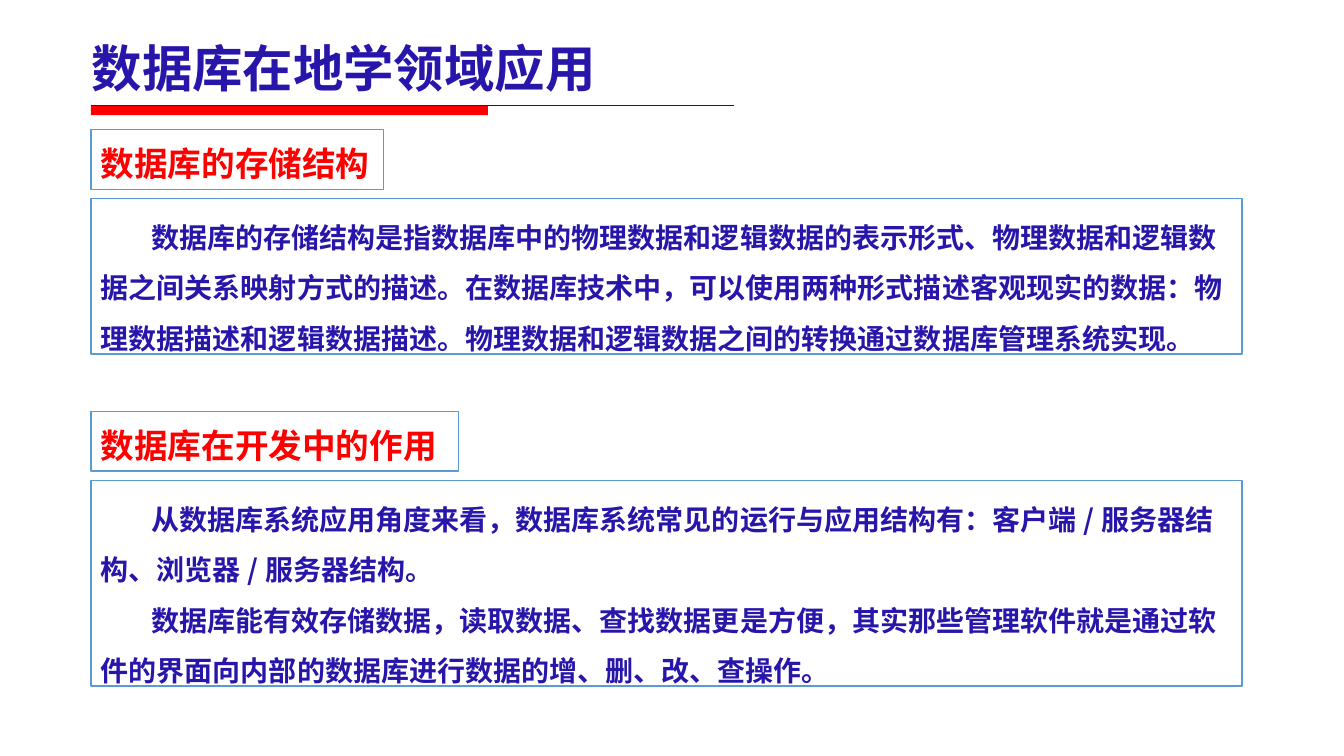
from lxml.etree import SubElement
from pptx import Presentation
from pptx.dml.color import RGBColor
from pptx.enum.shapes import MSO_CONNECTOR as Connector, MSO_SHAPE as Shape
from pptx.enum.text import MSO_ANCHOR as Anchor, MSO_AUTO_SIZE as AutoSize, PP_ALIGN as Align
from pptx.oxml.ns import qn
from pptx.util import Cm, Pt

NAVY = RGBColor(0x28, 0x16, 0xAA)
RED = RGBColor(0xFF, 0x00, 0x00)
BLUE = RGBColor(0x5B, 0x9B, 0xD5)
WHITE = RGBColor(0xFF, 0xFF, 0xFF)
DARK = RGBColor(0x20, 0x20, 0x20)

LEFT = 2.29
BODY_WIDTH = 29.01
BODY_DROP = 1.74  # from the top of a heading to the top of its body

SECTIONS = [
    # heading, heading top, heading width, body height, body paragraphs
    ("数据库的存储结构", 3.27, 7.37, 3.91, [
        "数据库的存储结构是指数据库中的物理数据和逻辑数据的表示形式、物理数据和逻辑数据之间关系映射方式的描述。"
        "在数据库技术中，可以使用两种形式描述客观现实的数据：物理数据描述和逻辑数据描述。"
        "物理数据和逻辑数据之间的转换通过数据库管理系统实现。",
    ]),
    ("数据库在开发中的作用", 10.37, 9.27, 5.18, [
        "从数据库系统应用角度来看，数据库系统常见的运行与应用结构有：客户端/服务器结构、浏览器/服务器结构。",
        "数据库能有效存储数据，读取数据、查找数据更是方便，"
        "其实那些管理软件就是通过软件的界面向内部的数据库进行数据的增、删、改、查操作。",
    ]),
]


class SlideBuilder:
    cjk_font = "Noto Sans CJK SC"
    heading_font = "Times New Roman"

    def __init__(self, page):
        self.page = page

    def set_text(self, frame, texts, size, color, font, spacing, after=0, indent=0):
        """Fill a text frame with bold, left-aligned paragraphs."""
        frame.word_wrap = True
        for number, text in enumerate(texts):
            para = frame.add_paragraph() if number else frame.paragraphs[0]
            para.text = text
            para.alignment = Align.LEFT
            para.line_spacing = spacing
            para.space_after = Pt(after)
            para.font.size = Pt(size)
            para.font.bold = True
            para.font.color.rgb = color
            para.font.name = font
            properties = para._p.get_or_add_pPr()
            properties.set("marL", "0")
            properties.set("indent", str(Cm(indent)))
            east_asian = SubElement(properties.find(qn("a:defRPr")), qn("a:ea"))
            east_asian.set("typeface", self.cjk_font)

    def title(self, text):
        box = self.page.shapes.add_textbox(Cm(2.06), Cm(0.81), Cm(17.15), Cm(1.63))
        box.text_frame.vertical_anchor = Anchor.MIDDLE
        self.set_text(box.text_frame, [text], 36, NAVY, self.cjk_font, 1.1, after=6)

    def rectangle(self, top, width, height, fill):
        box = self.page.shapes.add_shape(
            Shape.RECTANGLE, Cm(LEFT), Cm(top), Cm(width), Cm(height))
        box.shadow.inherit = False
        box.fill.solid()
        box.fill.fore_color.rgb = fill
        return box

    def framed_box(self, top, width, height):
        box = self.rectangle(top, width, height, WHITE)
        box.line.color.rgb = BLUE
        box.line.width = Pt(1)
        box.text_frame.vertical_anchor = Anchor.TOP
        return box

    def title_rule(self, top):
        """Draw the thick bar and the thin line under the title."""
        line = self.page.shapes.add_connector(
            Connector.STRAIGHT, Cm(LEFT), Cm(top), Cm(18.49), Cm(top))
        line.line.color.rgb = DARK
        line.line.width = Pt(0.75)
        SubElement(line._element.spPr, qn("a:effectLst"))
        self.rectangle(top, 10.01, 0.23, RED).line.fill.background()

    def heading(self, text, top, width):
        box = self.framed_box(top, width, 1.5)
        self.set_text(box.text_frame, [text], 24, RED, self.heading_font, 1.2, after=6)

    def body(self, texts, top, height):
        box = self.framed_box(top, BODY_WIDTH, height)
        box.text_frame.auto_size = AutoSize.SHAPE_TO_FIT_TEXT
        self.set_text(box.text_frame, texts, 20, NAVY, self.cjk_font, 1.5, indent=1.27)


def main():
    deck = Presentation()
    deck.slide_width, deck.slide_height = Cm(33.87), Cm(19.05)
    builder = SlideBuilder(deck.slides.add_slide(deck.slide_layouts[6]))
    builder.title("数据库在地学领域应用")
    builder.title_rule(2.67)
    for heading, top, width, body_height, texts in SECTIONS:
        builder.heading(heading, top, width)
        builder.body(texts, top + BODY_DROP, body_height)
    deck.save("out.pptx")


if __name__ == "__main__":
    main()
